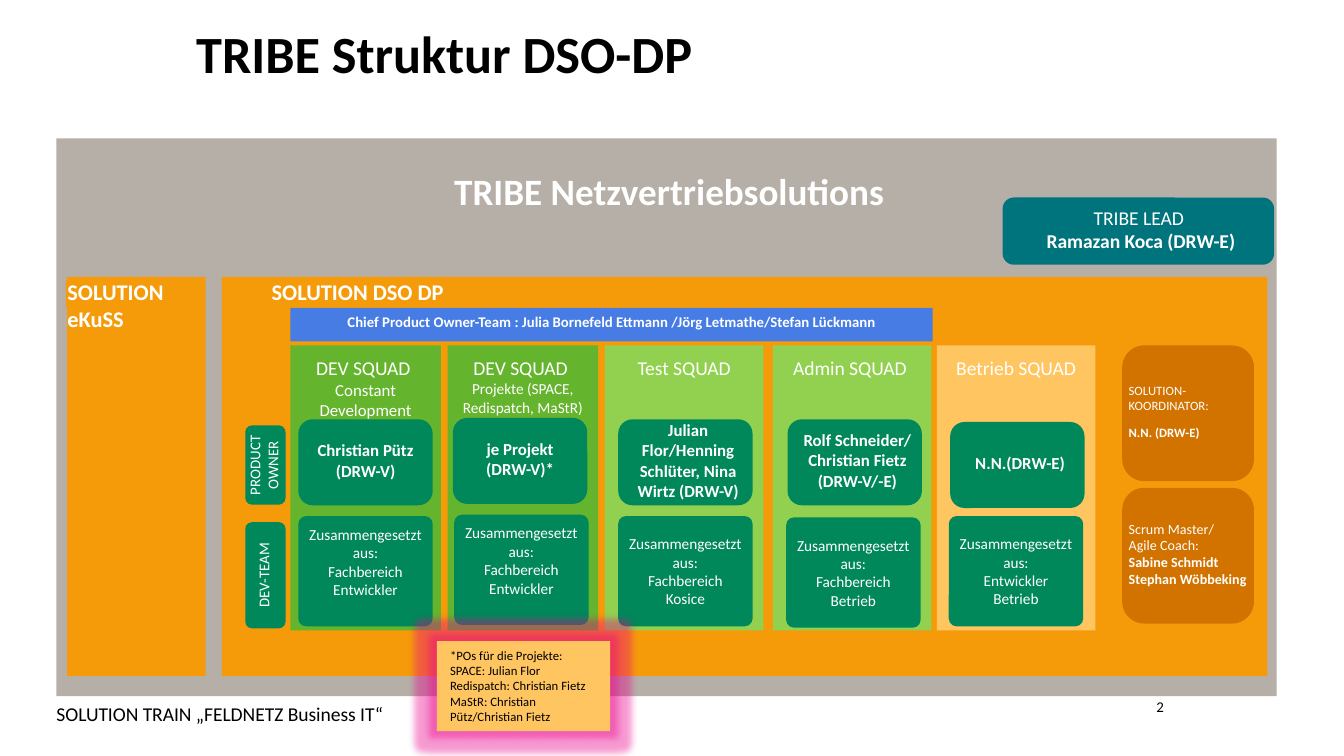
"""Builds the TRIBE structure slide with its solutions, squads and roles."""
from lxml.etree import SubElement
from pptx import Presentation
from pptx.dml.color import RGBColor
from pptx.enum.shapes import MSO_SHAPE
from pptx.enum.text import MSO_ANCHOR, MSO_AUTO_SIZE, PP_ALIGN
from pptx.oxml.ns import qn
from pptx.util import Inches, Pt

FONT = "Calibri"
BLACK = RGBColor(0x00, 0x00, 0x00)
WHITE = RGBColor(0xFF, 0xFF, 0xFF)
GREY = RGBColor(0xB6, 0xAF, 0xA8)
ORANGE = RGBColor(0xF5, 0x9B, 0x0A)
BROWN = RGBColor(0xD2, 0x73, 0x00)
SAND = RGBColor(0xFF, 0xC5, 0x60)
GREEN = RGBColor(0x64, 0xB4, 0x2D)
LIME = RGBColor(0x92, 0xD0, 0x50)
EMERALD = RGBColor(0x00, 0x87, 0x5A)
TEAL = RGBColor(0x00, 0x74, 0x7C)
BLUE = RGBColor(0x47, 0x7C, 0xE5)
PINK = RGBColor(0xEC, 0x00, 0x8C)

RECT, ROUND = MSO_SHAPE.RECTANGLE, MSO_SHAPE.ROUNDED_RECTANGLE
LEFT, CENTER, RIGHT = PP_ALIGN.LEFT, PP_ALIGN.CENTER, PP_ALIGN.RIGHT
TOP, MIDDLE = MSO_ANCHOR.TOP, MSO_ANCHOR.MIDDLE
NO_INSETS = (0, 0, 0, 0)
WIDE_INSETS = (0.24, 0.22, 0.2, 0.25)
HEAD_INSETS = (0.08, 0.08, 0.08, 0.25)
LABEL_INSETS = (0, 0, 0.2, 0)
ROLE_INSETS = (0, 0.22, 0, 0.25)

TITLE = "TRIBE Struktur DSO-DP"
TRIBE = "TRIBE Netzvertriebsolutions"
TRIBE_LEAD = [[("TRIBE LEAD \n", {}), ("Ramazan Koca (DRW-E)", {"bold": True})]]
CHIEF_OWNERS = ("Chief Product Owner-Team : Julia Bornefeld Ettmann "
                "/Jörg Letmathe/Stefan Lückmann")
TRAIN = "SOLUTION TRAIN „FELDNETZ Business IT“"
PAGE = "2"
NOTE = ("*POs für die Projekte: \nSPACE: Julian Flor\nRedispatch: Christian Fietz\n"
        "MaStR: Christian Pütz/Christian Fietz")
COMPOSED = "Zusammengesetzt aus:"

SOLUTIONS = [
    {"name": "SOLUTION DSO DP", "left": 1.65, "width": 7.78, "label": (2.01, 2.86)},
    {"name": "SOLUTION eKuSS", "left": 0.5, "width": 1.03, "label": (0.49, 0.97)},
]
SQUADS = [
    {"name": "DEV SQUAD ", "focus": ("Constant Development", 9), "fill": GREEN,
     "left": 2.16, "width": 1.12, "owner": "Christian Pütz\n(DRW-V)",
     "owner_at": (2.22, 3.12), "team": ["Fachbereich", "Entwickler"],
     "team_at": (2.22, 3.84), "team_bottom": 0.22},
    {"name": "DEV SQUAD ", "focus": ("Projekte (SPACE, Redispatch, MaStR)", 8.2),
     "fill": GREEN, "left": 3.33, "width": 1.12, "owner": "je Projekt (DRW-V)*",
     "owner_at": (3.37, 3.11), "team": ["Fachbereich", "Entwickler"],
     "team_at": (3.38, 3.83), "team_bottom": 0.22},
    {"name": "Test SQUAD", "fill": LIME, "left": 4.5, "width": 1.18,
     "owner": "Julian Flor/Henning Schlüter, Nina Wirtz (DRW-V)",
     "owner_at": (4.6, 3.12), "team": ["Fachbereich", "Kosice"],
     "team_at": (4.6, 3.84)},
    {"name": "Admin SQUAD ", "fill": LIME, "left": 5.75, "width": 1.18,
     "owner": "Rolf Schneider/\nChristian Fietz (DRW-V/-E)",
     "owner_at": (5.86, 3.12), "team": ["Fachbereich", "Betrieb"],
     "team_at": (5.85, 3.85)},
    {"name": "Betrieb SQUAD", "fill": SAND, "left": 6.97, "width": 1.18,
     "owner": "N.N.(DRW-E)", "owner_at": (7.07, 3.14),
     "team": ["Entwickler", "Betrieb"], "team_at": (7.06, 3.84)},
]
ROW_LABELS = [
    ("PRODUCT OWNER", (1.68, 3.31, 0.59, 0.3), 0.04),
    ("DEV-TEAM", (1.58, 4.13, 0.79, 0.3), 0.08),
]
ROLES = [
    ("SOLUTION-KOORDINATOR:", "N.N. (DRW-E)", 2.57, 6.8, 6),
    ("Scrum Master/\nAgile Coach:", "Sabine Schmidt\nStephan Wöbbeking", 3.63, 7.5, 0),
]


def write(holder, text, size=9, bold=False, color=WHITE, align=CENTER, anchor=TOP,
          insets=HEAD_INSETS, before=0, line_spacing=None):
    """Fill a holder with a string or with paragraphs made of (words, format) runs."""
    frame = holder.text_frame
    frame.word_wrap = True
    frame.auto_size = MSO_AUTO_SIZE.NONE
    frame.vertical_anchor = anchor
    (frame.margin_left, frame.margin_top,
     frame.margin_right, frame.margin_bottom) = map(Inches, insets)
    paragraphs = [[(text, {})]] if isinstance(text, str) else text
    for index, pieces in enumerate(paragraphs):
        paragraph = frame.add_paragraph() if index else frame.paragraphs[0]
        paragraph.alignment = align
        paragraph.space_before = Pt(before)
        if line_spacing:
            paragraph.line_spacing = line_spacing
        for words, changes in pieces:
            for row, line in enumerate(words.split("\n")):
                if row:
                    paragraph.add_line_break()
                if line:
                    run = paragraph.add_run()
                    run.text = line
                    run.font.name = FONT
                    run.font.size = Pt(changes.get("size", size))
                    run.font.bold = changes.get("bold", bold)
                    run.font.color.rgb = color


def add_box(slide, kind, at, fill, text=None, **style):
    box = slide.shapes.add_shape(kind, *map(Inches, at))
    box.shadow.inherit = False
    box.fill.solid()
    box.fill.fore_color.rgb = fill
    box.line.fill.background()
    if text:
        write(box, text, **style)
    return box


def add_glow(box, color, radius, opacity):
    effects = box._element.spPr.find(qn("a:effectLst"))
    glow = SubElement(effects, qn("a:glow"), rad=str(Pt(radius)))
    tint = SubElement(glow, qn("a:srgbClr"), val=str(color))
    SubElement(tint, qn("a:alpha"), val=str(opacity * 1000))


def add_solution(slide, solution):
    add_box(slide, RECT, (solution["left"], 2.06, solution["width"], 2.97), ORANGE)
    left, width = solution["label"]
    add_box(slide, ROUND, (left, 2.06, width, 0.25), ORANGE, solution["name"],
            size=12, bold=True, align=LEFT, insets=LABEL_INSETS)


def add_squad(slide, squad):
    heading = [(squad["name"], {})]
    if "focus" in squad:
        focus, size = squad["focus"]
        heading.append(("\n" + focus, {"size": size}))
    add_box(slide, RECT, (squad["left"], 2.57, squad["width"], 2.12), squad["fill"],
            [heading], size=10.5, before=6)
    right_inset = 0.08 if "focus" in squad else 0.04
    add_box(slide, ROUND, (*squad["owner_at"], 1, 0.64), EMERALD, squad["owner"],
            bold=True, anchor=MIDDLE, insets=(0.08, 0.22, right_inset, 0.25), before=6)
    members = [[(line, {})] for line in [COMPOSED, *squad["team"]]]
    team = add_box(slide, ROUND, (*squad["team_at"], 1, 0.82), EMERALD, members,
                   size=8.2, anchor=MIDDLE,
                   insets=(0, 0.08, 0, squad.get("team_bottom", 0.08)))
    team.adjustments[0] = 0.07


def main():
    deck = Presentation()
    deck.slide_width, deck.slide_height = Inches(10), Inches(10) * 9 // 16
    slide = deck.slides.add_slide(deck.slide_layouts[5])

    title = slide.shapes.title
    title.left, title.top, title.width, title.height = map(Inches, (1.46, 0.21, 7.48, 0.82))
    write(title, TITLE, size=28, bold=True, color=BLACK, align=LEFT,
          insets=NO_INSETS, line_spacing=0.9)

    for words, at, size, align in [(PAGE, (8.02, 5.19, 0.64, 0.13), 8, RIGHT),
                                   (TRAIN, (0.42, 5.19, 7.48, 0.24), 10.5, LEFT)]:
        footer = slide.shapes.add_textbox(*map(Inches, at))
        write(footer, words, size=size, color=BLACK, align=align, anchor=MIDDLE,
              insets=NO_INSETS)

    add_box(slide, RECT, (0.42, 1.03, 9.08, 4.15), GREY, TRIBE, size=19.9, bold=True,
            insets=WIDE_INSETS, before=6)
    add_box(slide, ROUND, (7.46, 1.47, 2.02, 0.5), TEAL, TRIBE_LEAD, size=10.5,
            anchor=MIDDLE, insets=WIDE_INSETS, before=6)
    for solution in SOLUTIONS:
        add_solution(slide, solution)
    add_box(slide, RECT, (2.16, 2.29, 4.78, 0.25), BLUE, CHIEF_OWNERS, size=7.9,
            bold=True, before=6)
    for squad in SQUADS:
        add_squad(slide, squad)
    for name, at, side in ROW_LABELS:
        label = add_box(slide, ROUND, at, EMERALD, name, size=8, anchor=MIDDLE,
                        insets=(side, 0.22, side, 0.25), before=6)
        label.rotation = 270
    for role, people, top, size, before in ROLES:
        add_box(slide, ROUND, (8.35, top, 0.98, 1.01), BROWN,
                [[(role, {})], [(people, {"bold": True})]], size=size, align=LEFT,
                anchor=MIDDLE, insets=ROLE_INSETS, before=before)
    note = add_box(slide, RECT, (3.25, 4.77, 1.29, 0.67), SAND, NOTE, size=6.8,
                   color=BLACK, align=LEFT, insets=(0.1, 0.05, 0.1, 0.05))
    add_glow(note, PINK, 8, 40)
    deck.save("out.pptx")


if __name__ == "__main__":
    main()
